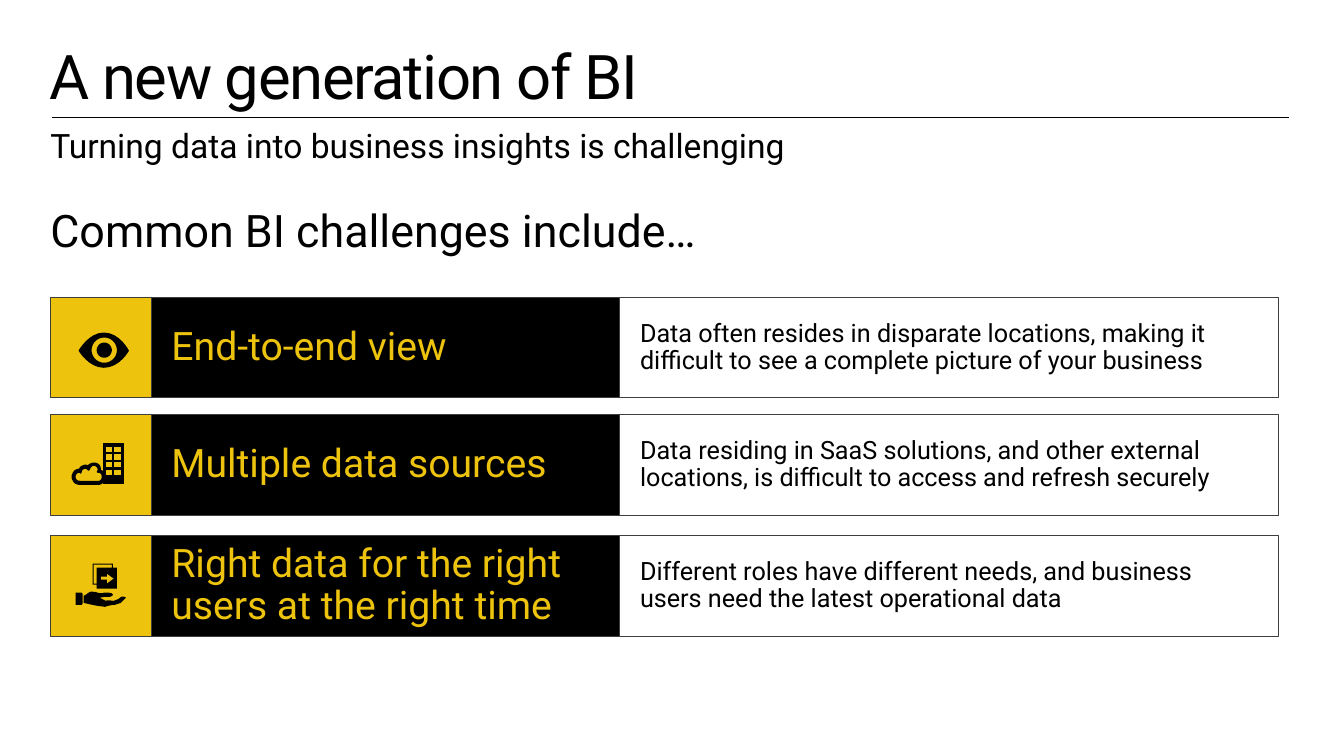
from math import cos, pi, sin

from lxml.etree import SubElement
from pptx import Presentation
from pptx.dml.color import RGBColor
from pptx.enum.shapes import MSO_CONNECTOR as Connector, MSO_SHAPE as Preset
from pptx.enum.text import MSO_ANCHOR as Anchor, PP_ALIGN as Align
from pptx.oxml.ns import qn
from pptx.util import Cm, Pt

FONT = "Roboto"
BLACK, WHITE, GOLD, EDGE = "000000", "FFFFFF", "EDC30D", "3E3E3E"

TITLE = "A new generation of BI"
SUBTITLE = "Turning data into business insights is challenging"
LEAD = "Common BI challenges include…"

ROWS = [
    (7.49, "eye", "End-to-end view",
     "Data often resides in disparate locations, making it difficult to see "
     "a complete picture of your business"),
    (10.44, "sources", "Multiple data sources",
     "Data residing in SaaS solutions, and other external locations, "
     "is difficult to access and refresh securely"),
    (13.49, "hand", "Right data for the right users at the right time",
     "Different roles have different needs, and business users need "
     "the latest operational data"),
]

LEFT, TILE = 1.27, 2.54
HEADING_WIDTH, DETAIL_WIDTH = 11.81, 16.59


def circle(x, y, radius, steps=48):
    angles = [2 * pi * step / steps for step in range(steps)]
    return [(x + radius * cos(angle), y + radius * sin(angle)) for angle in angles]


def rectangle(left, top, right, bottom):
    return [(left, top), (right, top), (right, bottom), (left, bottom)]


# Icon outlines use hundredths of a tile; six numbers make a curve.
EYELID = [(53, 35), (38, 35, 28, 53, 28, 53), (28, 53, 38, 70, 53, 70),
          (69, 70, 78, 53, 78, 53), (78, 53, 69, 35, 53, 35)]
WINDOWS = [rectangle(left, top, right, bottom)
           for left, right in [(55, 62), (63, 71)]
           for top, bottom in [(32, 38), (39, 46), (47, 53), (55, 61)]]
CLOUD_OUTER = [
    (52, 57), (51, 57, 50, 56, 49, 56), (49, 55), (49, 54, 49, 52, 48, 51),
    (46, 49, 45, 49, 43, 49), (41, 49, 39, 50, 37, 52), (37, 52, 36, 51, 35, 51),
    (33, 51, 32, 52, 30, 53), (30, 54, 29, 55, 29, 55), (27, 55, 25, 56, 24, 57),
    (23, 59, 22, 60, 22, 62), (22, 64, 23, 65, 24, 67), (25, 68, 27, 69, 29, 69),
    (48, 69), (49, 69, 51, 68, 52, 67), (53, 65, 54, 64, 54, 62),
    (54, 60, 53, 59, 52, 57)]
CLOUD_INNER = [
    (48, 67), (29, 67), (26, 67, 24, 65, 24, 62), (24, 59, 26, 57, 29, 57),
    (29, 57, 30, 57, 30, 58), (30, 55, 32, 53, 35, 53), (36, 53, 37, 54, 38, 55),
    (39, 52, 41, 50, 43, 50), (46, 50, 48, 53, 48, 55), (48, 56, 47, 57, 47, 57),
    (48, 57), (50, 57, 52, 59, 52, 62), (52, 65, 50, 67, 48, 67)]
PALM = [
    (75, 62), (73, 64), (70, 67), (64, 69), (61, 69, 57, 70, 54, 71),
    (49, 70, 49, 71, 33, 67), (33, 60), (36, 59, 37, 57, 40, 56),
    (43, 56, 45, 56, 47, 57), (49, 57, 50, 58, 53, 57), (58, 57),
    (60, 57, 62, 58, 62, 59), (62, 60, 60, 61, 59, 61), (54, 61), (49, 62),
    (55, 65), (58, 64, 60, 65, 63, 65), (65, 64, 66, 64, 68, 63),
    (69, 62, 71, 60, 73, 61), (74, 61, 75, 62, 75, 62)]
SLEEVE = [(25, 57), (31, 57), (32, 58), (32, 68), (31, 69), (25, 69)]
SHEETS = [(66, 32), (66, 53), (46, 53), (46, 49), (42, 49), (42, 28), (62, 28), (62, 32)]
BACK_SHEET = [(46, 48), (46, 32), (61, 32), (61, 29), (43, 29), (43, 48)]
ARROW = [(63, 43), (56, 38), (56, 41), (50, 41), (50, 44), (56, 44), (56, 48)]

ICONS = {
    "eye": [([EYELID, circle(53.5, 52.5, 12.5), circle(53.5, 52.5, 7.5)], 0)],
    "sources": [([rectangle(53, 29, 73, 69)] + WINDOWS, 0.75),
                ([CLOUD_OUTER, CLOUD_INNER], 1.5)],
    "hand": [([PALM, SLEEVE, SHEETS, BACK_SHEET, ARROW], 0)],
}


def color(value):
    return RGBColor.from_string(value)


def paint(shape, fill, edge, weight):
    shape.shadow.inherit = False
    shape.fill.solid()
    shape.fill.fore_color.rgb = color(fill)
    if weight:
        shape.line.color.rgb = color(edge)
        shape.line.width = Pt(weight)
    else:
        shape.line.fill.background()


def write(shape, text, size, ink=BLACK, anchor=Anchor.MIDDLE, inset=0.41):
    frame = shape.text_frame
    frame.word_wrap = True
    frame.vertical_anchor = anchor
    frame.margin_left = frame.margin_right = Cm(0.51)
    frame.margin_top = frame.margin_bottom = Cm(inset)
    frame.text = text
    para = frame.paragraphs[0]
    para.alignment = Align.LEFT
    para.line_spacing = 0.9
    span = para.runs[0]
    span.font.name = FONT
    span.font.size = Pt(size)
    span.font.color.rgb = color(ink)
    return span


def add_text(page, left, top, height, *style, **options):
    box = page.shapes.add_textbox(Cm(left), Cm(top), Cm(32.39), Cm(height))
    return write(box, *style, **options)


def add_panel(page, left, top, width, fill):
    panel = page.shapes.add_shape(Preset.RECTANGLE, Cm(left), Cm(top), Cm(width), Cm(TILE))
    paint(panel, fill, EDGE, 0.75)
    return panel


def flatten(outline, steps=8):
    points = [outline[0]]
    for part in outline[1:]:
        if len(part) == 2:
            points.append(part)
            continue
        controls = [points[-1], part[:2], part[2:4], part[4:]]
        for step in range(1, steps + 1):
            t = step / steps
            weights = [(1 - t) ** 3, 3 * t * (1 - t) ** 2, 3 * t * t * (1 - t), t ** 3]
            points.append(tuple(sum(weight * control[axis]
                                    for weight, control in zip(weights, controls))
                                for axis in (0, 1)))
    return points


def add_icon(page, top, outlines, weight):
    builder = None
    for outline in outlines:
        points = [(Cm(LEFT + x * TILE / 100), Cm(top + y * TILE / 100))
                  for x, y in flatten(outline)]
        if builder is None:
            builder = page.shapes.build_freeform(*points[0])
        else:
            builder.move_to(*points[0])
        builder.add_line_segments(points[1:], close=True)
    paint(builder.convert_to_shape(), BLACK, BLACK, weight)


def main():
    deck = Presentation()
    deck.slide_width, deck.slide_height = Cm(33.87), Cm(19.05)
    page = deck.slides.add_slide(deck.slide_layouts[6])

    rule = page.shapes.add_connector(Connector.STRAIGHT, Cm(1.3), Cm(2.97), Cm(32.49), Cm(2.97))
    rule.line.color.rgb = color(BLACK)
    rule.line.width = Pt(0.75)
    SubElement(rule._element.spPr, qn("a:effectLst"))

    title = add_text(page, 0.74, 0.99, 2.01, TITLE, 44, inset=0.25)
    title._r.get_or_add_rPr().set("spc", "-100")
    add_text(page, 0.76, 3.25, 0.94, SUBTITLE, 24)
    add_text(page, 0.76, 4.85, 14.2, LEAD, 32, anchor=Anchor.TOP)

    heading_left = LEFT + TILE
    detail_left = heading_left + HEADING_WIDTH
    for top, icon, heading, detail in ROWS:
        write(add_panel(page, heading_left, top, HEADING_WIDTH, BLACK), heading, 28, GOLD)
        write(add_panel(page, detail_left, top, DETAIL_WIDTH, WHITE), detail, 18)
        add_panel(page, LEFT, top, TILE, GOLD)
        for outlines, weight in ICONS[icon]:
            add_icon(page, top, outlines, weight)

    deck.save("out.pptx")


if __name__ == "__main__":
    main()
